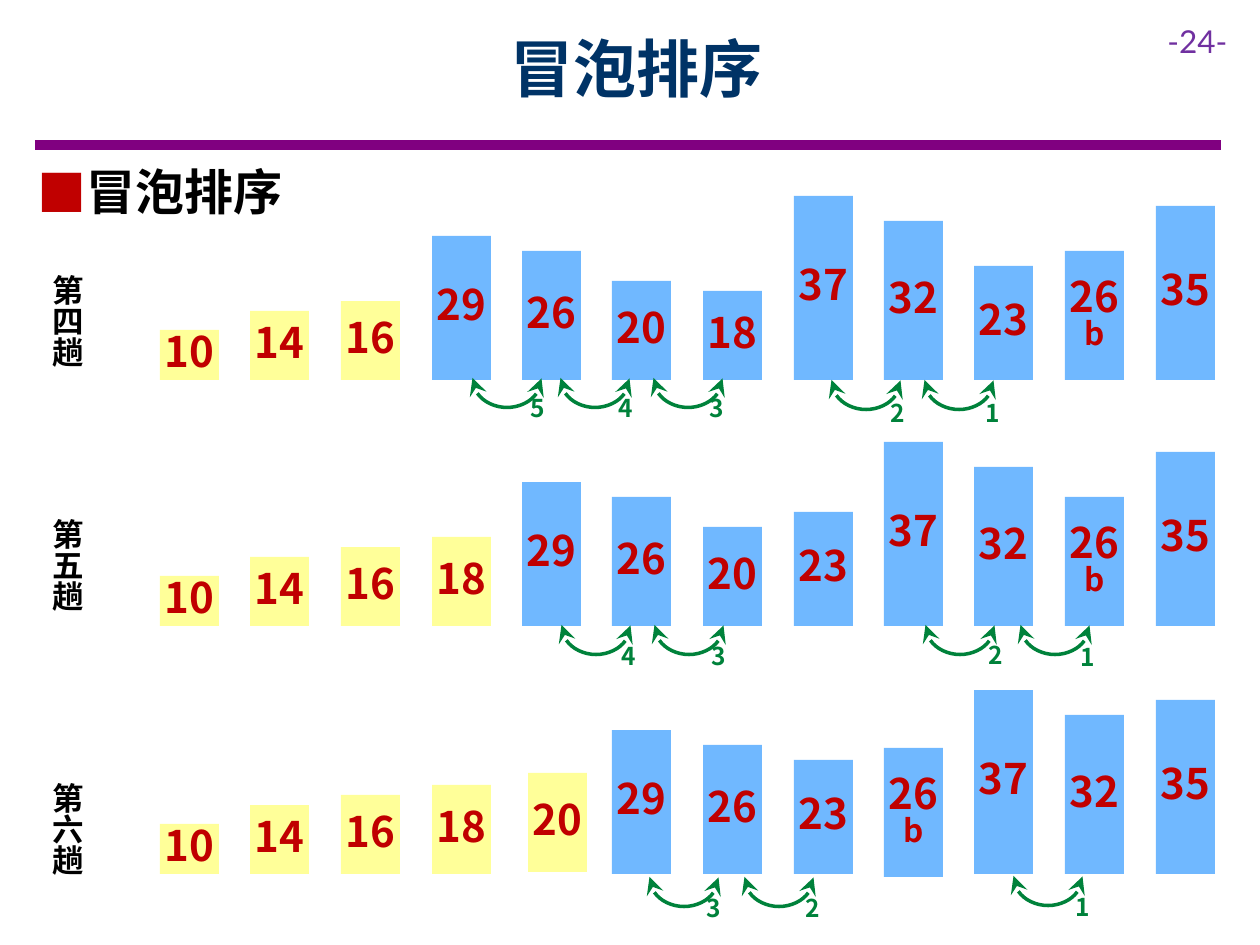
from lxml import etree
from pptx import Presentation
from pptx.dml.color import RGBColor
from pptx.enum.shapes import MSO_CONNECTOR, MSO_SHAPE
from pptx.enum.text import MSO_ANCHOR, PP_ALIGN
from pptx.oxml.ns import qn
from pptx.util import Pt

CENTER, LEFT = PP_ALIGN.CENTER, PP_ALIGN.LEFT
MIDDLE, TOP = MSO_ANCHOR.MIDDLE, MSO_ANCHOR.TOP
RECT, ARC = MSO_SHAPE.RECTANGLE, MSO_SHAPE.ARC
STRAIGHT = MSO_CONNECTOR.STRAIGHT

SCALE = 914400 / 126
CJK, LATIN = "Noto Sans CJK SC", "Lato"
RED, GREEN, BLACK = "C00000", "00823B", "000000"
BLUE, YELLOW = "70B8FF", "FFFF99"
BAR_LEFT, BAR_STEP, BAR_WIDTH, UNIT = 160, 90.5, 59, 4.96

# Each swap: number, arc left, arc top, label left, label top.
PASSES = [
    {"name": "第四趟", "top": 271, "base": 380, "done": 3,
     "bars": "10 14 16 29 26 20 18 37 32 23 26b 35", "shift": {},
     "swaps": [(1, 930, 346, 973, 397), (2, 837, 346, 878, 397),
               (3, 659, 344, 697, 392), (4, 566, 344, 606, 392),
               (5, 478, 344, 518, 392)]},
    {"name": "第五趟", "top": 515, "base": 626, "done": 4,
     "bars": "10 14 16 18 29 26 20 23 37 32 26b 35", "shift": {},
     "swaps": [(1, 1026, 591, 1068, 641), (2, 931, 591, 976, 639),
               (3, 660, 591, 699, 640), (4, 567, 591, 609, 640)]},
    {"name": "第六趟", "top": 779, "base": 874, "done": 5,
     "bars": "10 14 16 18 20 29 26 23 26b 37 32 35",
     "shift": {"20": (6, -2), "26b": (0, 3)},
     "swaps": [(1, 1019, 842, 1063, 891), (2, 750, 843, 793, 892),
               (3, 655, 843, 694, 892)]},
]


def px(*sizes):
    """Turn pixels into EMU."""
    return [round(size * SCALE) for size in sizes]


def color(code):
    """Make a colour from a hex string."""
    return RGBColor.from_string(code)


def style(para, size, code, font=CJK, bold=True, align=LEFT):
    """Format a paragraph and its runs."""
    para.alignment = align
    if font == CJK:
        para.line_spacing = 0.83
    for run in para.runs:
        run.font.size, run.font.bold, run.font.name = Pt(size), bold, font
        run.font.color.rgb = color(code)
        east = etree.SubElement(run._r.get_or_add_rPr(), qn("a:ea"))
        east.set("typeface", font)


def add_text(slide, box, text, size, code, wrap=True, anchor=TOP, **look):
    """Add a text box and return its paragraph."""
    frame = slide.shapes.add_textbox(*px(*box)).text_frame
    frame.word_wrap, frame.vertical_anchor = wrap, anchor
    frame.text = text
    para = frame.paragraphs[0]
    style(para, size, code, **look)
    return para


def add_bullet(para):
    """Give a paragraph a red square bullet."""
    props = para._p.get_or_add_pPr()
    props.set("marL", str(px(48)[0]))
    props.set("indent", str(px(-48)[0]))
    tint = etree.SubElement(props, qn("a:buClr"))
    etree.SubElement(tint, qn("a:srgbClr")).set("val", RED)
    etree.SubElement(props, qn("a:buFont")).set("typeface", CJK)
    etree.SubElement(props, qn("a:buChar")).set("char", "■")


def add_rule(slide):
    """Draw the purple line under the title."""
    rule = slide.shapes.add_connector(STRAIGHT, *px(35, 145, 1221, 145))
    rule.line.color.rgb, rule.line.width = color("800080"), Pt(6)
    etree.SubElement(rule._element.spPr, qn("a:effectLst"))


def add_bar(slide, left, base, name, fill):
    """Draw a bar as tall as its value, with the value inside."""
    value = name.rstrip("b")
    tall = round(int(value) * UNIT)
    bar = slide.shapes.add_shape(RECT, *px(left, base - tall, BAR_WIDTH, tall))
    bar.shadow.inherit = False
    bar.fill.solid()
    bar.fill.fore_color.rgb = color(fill)
    bar.line.fill.background()
    frame = bar.text_frame
    frame.margin_left = frame.margin_right = 0
    frame.margin_top = frame.margin_bottom = px(13)[0]
    frame.vertical_anchor = MIDDLE
    frame.text = name.replace("b", "\nb")
    for para, size in zip(frame.paragraphs, (24, 18)):
        style(para, size, RED, align=CENTER)


def add_swap(slide, number, left, top, label_left, label_top):
    """Draw a double arrow for a swap, with its number."""
    arc = slide.shapes.add_shape(ARC, *px(left, top, 58, 69))
    arc.rotation = 90
    arc.adjustments[0], arc.adjustments[1] = 162, 54.597
    arc.shadow.inherit = False
    arc.fill.background()
    arc.line.color.rgb, arc.line.width = color(GREEN), Pt(2)
    line = arc.line._get_or_add_ln()
    for end in ("a:headEnd", "a:tailEnd"):
        tip = etree.SubElement(line, qn(end))
        for key, value in (("type", "stealth"), ("w", "lg"), ("len", "lg")):
            tip.set(key, value)
    add_text(slide, (label_left, label_top, 40, 43), str(number), 14, GREEN,
             wrap=False, align=CENTER)


def add_pass(slide, data):
    """Draw one pass: name, bars and swaps."""
    para = add_text(slide, (40, data["top"], 66, 127), data["name"], 18, BLACK)
    para.space_after = Pt(6)
    for i, name in enumerate(data["bars"].split()):
        right, down = data["shift"].get(name, (0, 0))
        fill = YELLOW if i < data["done"] else BLUE
        left = round(BAR_LEFT + i * BAR_STEP)
        add_bar(slide, left + right, data["base"] + down, name, fill)
    for swap in data["swaps"]:
        add_swap(slide, *swap)


def main():
    """Build the slide and save it."""
    deck = Presentation()
    deck.slide_width, deck.slide_height = px(1260, 945)
    slide = deck.slides.add_slide(deck.slide_layouts[6])
    add_rule(slide)
    add_text(slide, (1155, 16, 105, 50), "-24-", 18, "7030A0",
             font=LATIN, bold=False)
    add_text(slide, (113, 11, 1047, 126), "冒泡排序", 36, "003366",
             anchor=MIDDLE, align=CENTER)
    head = add_text(slide, (25, 165, 1231, 72), "冒泡排序", 28, BLACK)
    add_bullet(head)
    head.space_after = Pt(6)
    for data in PASSES:
        add_pass(slide, data)
    deck.save("out.pptx")


if __name__ == "__main__":
    main()
